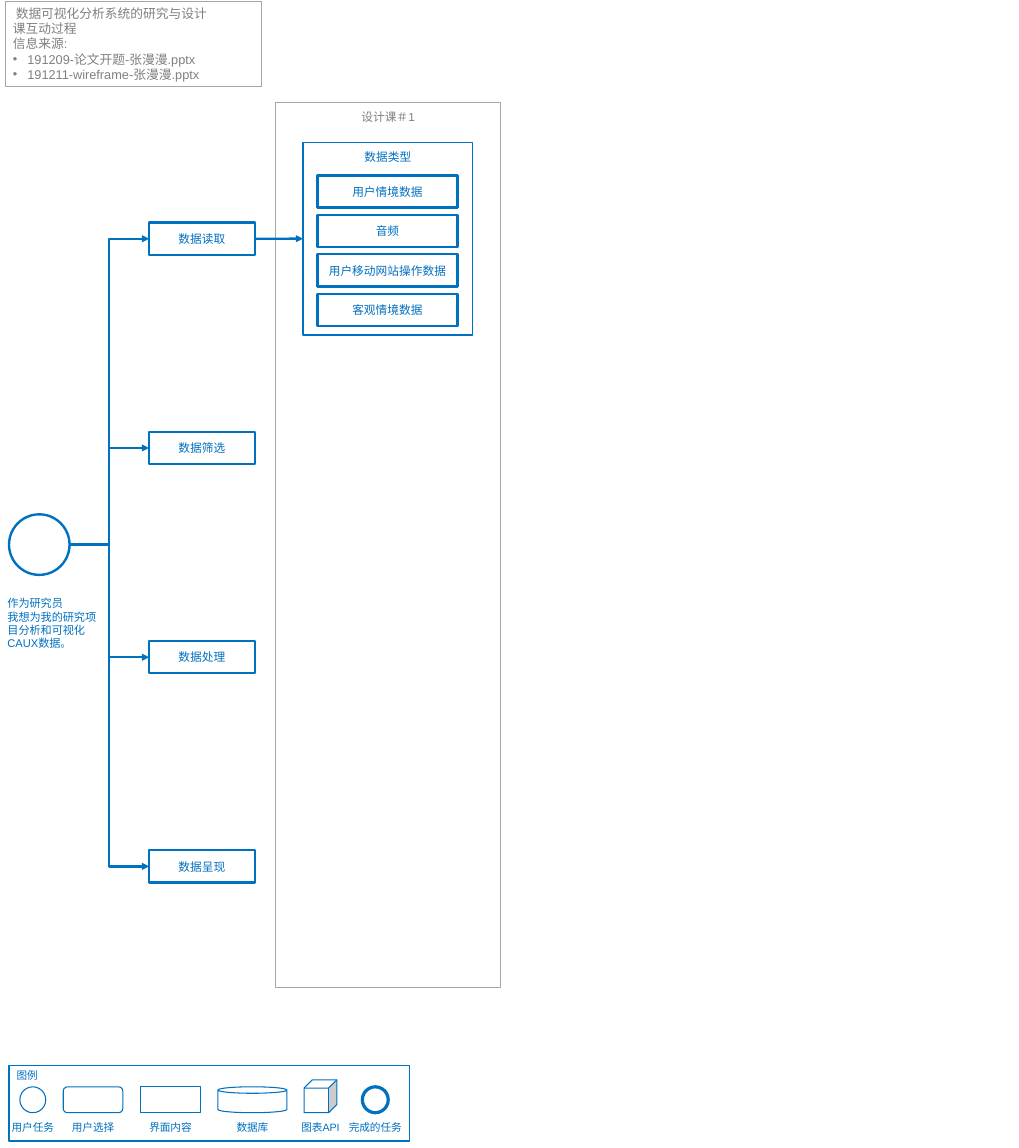
from pptx import Presentation
from pptx.dml.color import RGBColor
from pptx.enum.shapes import MSO_CONNECTOR, MSO_SHAPE
from pptx.enum.text import MSO_ANCHOR, PP_ALIGN
from pptx.oxml.ns import qn
from pptx.util import Cm, Pt
from lxml.etree import SubElement

BLUE = RGBColor(0x00, 0x70, 0xC0)
GREY = RGBColor(0x80, 0x80, 0x80)
RULE = RGBColor(0xA6, 0xA6, 0xA6)
WHITE = RGBColor(0xFF, 0xFF, 0xFF)

PADDED = (0.25, 0.13, 0.25, 0.13)
HEADED = (0, 0.25, 0, 0)
FLUSH = (0, 0, 0, 0)
SIDES = ("left", "top", "right", "bottom")


def write(s, lines, size, color=BLUE, align=PP_ALIGN.CENTER,
          anchor=MSO_ANCHOR.MIDDLE, inset=FLUSH):
    tf = s.text_frame
    frame = {"word_wrap": True, "vertical_anchor": anchor}
    frame.update({f"margin_{side}": Cm(v) for side, v in zip(SIDES, inset)})
    for name, value in frame.items():
        setattr(tf, name, value)
    for i, line in enumerate(lines):
        p = tf.add_paragraph() if i else tf.paragraphs[0]
        p.alignment = align
        r = p.add_run()
        r.text = line
        for name, value in {"name": "Arial", "size": Pt(size)}.items():
            setattr(r.font, name, value)
        r.font.color.rgb = color
    return tf


def add_shape(slide, kind, box, width=1, color=BLUE):
    s = slide.shapes.add_shape(kind, *map(Cm, box))
    s.shadow.inherit = False
    s.fill.solid()
    s.fill.fore_color.rgb = WHITE
    s.line.color.rgb = color
    s.line.width = Pt(width)
    return s


def add_text(slide, box, lines, size, **style):
    write(slide.shapes.add_textbox(*map(Cm, box)), lines, size, **style)


def add_arrow(slide, kind, start, target):
    c = slide.shapes.add_connector(kind, *start, target.left,
                                   target.top + target.height // 2)
    c.end_connect(target, 1)
    c.line.color.rgb = BLUE
    c.line.width = Pt(2.25)
    SubElement(c.line._get_or_add_ln(), qn("a:tailEnd"), type="triangle")
    SubElement(c._element.spPr, qn("a:effectLst"))
    return c


def add_stack(slide, box, step, labels):
    x, y, w, h = box
    boxes = []
    for i, label in enumerate(labels):
        s = add_shape(slide, MSO_SHAPE.RECTANGLE, (x, y + i * step, w, h), 2.25)
        write(s, [label], 11)
        boxes.append(s)
    return boxes


def add_note(slide, box):
    s = add_shape(slide, MSO_SHAPE.RECTANGLE, box, 0.75, RULE)
    s.fill.background()
    tf = write(s, [" 数据可视化分析系统的研究与设计", "课互动过程", "信息来源:",
                   "191209-论文开题-张漫漫.pptx", "191211-wireframe-张漫漫.pptx"],
               12, GREY, PP_ALIGN.LEFT, MSO_ANCHOR.TOP, PADDED)
    for p in tf.paragraphs[3:]:
        pPr = p._p.get_or_add_pPr()
        for name, value in {"marL": Cm(0.48), "indent": Cm(-0.48)}.items():
            pPr.set(name, str(int(value)))
        SubElement(pPr, qn("a:buFont"), typeface="Arial")
        SubElement(pPr, qn("a:buChar"), char="•")


def add_lane(slide, box):
    x, y, w, h = box
    lane = add_shape(slide, MSO_SHAPE.RECTANGLE, box, 1, RULE)
    write(lane, ["设计课＃1"], 11, GREY, anchor=MSO_ANCHOR.TOP, inset=HEADED)
    panel = add_shape(slide, MSO_SHAPE.RECTANGLE, (x + 0.92, y + 1.32, 5.64, 6.4))
    write(panel, ["数据类型"], 11, anchor=MSO_ANCHOR.TOP, inset=HEADED)
    add_stack(slide, (x + 1.4, y + 2.42, 4.65, 1.07), 1.31,
              ["用户情境数据", "音频", "用户移动网站操作数据", "客观情境数据"])
    return panel


def add_flow(slide, box, panel):
    x, y, w, h = box
    user = add_shape(slide, MSO_SHAPE.OVAL, (x + 0.3, y + 9.68, 2.01, 2.01), 2.25)
    add_text(slide, (x, y + 11.84, 3.56, 2.92),
             ["作为研究员", "我想为我的研究项目分析和可视化CAUX数据。"],
             10.5, align=PP_ALIGN.LEFT, inset=PADDED)
    tasks = add_stack(slide, (x + w - 3.51, y, 3.51, 1.07), (h - 1.07) / 3,
                      ["数据读取", "数据筛选", "数据处理", "数据呈现"])
    start = user.left + user.width, user.top + user.height // 2
    for task in tasks:
        add_arrow(slide, MSO_CONNECTOR.ELBOW, start, task)
    read = tasks[0]
    start = read.left + read.width, read.top + read.height // 2
    add_arrow(slide, MSO_CONNECTOR.STRAIGHT, start, panel).begin_connect(read, 3)


def add_legend(slide, box):
    x, y, w, h = box
    s = add_shape(slide, MSO_SHAPE.RECTANGLE, box)
    write(s, ["图例"], 10, align=PP_ALIGN.LEFT, anchor=MSO_ANCHOR.TOP, inset=PADDED)
    base, label_w = y + 1.57, 2.3
    for label, kind, center, sw, sh, line in [
        ("用户任务", MSO_SHAPE.OVAL, 0.79, 0.86, 0.86, 1),
        ("用户选择", MSO_SHAPE.ROUNDED_RECTANGLE, 2.79, 1.98, 0.86, 1),
        ("界面内容", MSO_SHAPE.RECTANGLE, 5.36, 1.98, 0.86, 1),
        ("数据库", MSO_SHAPE.CAN, 8.08, 2.29, 0.86, 1),
        ("图表API", MSO_SHAPE.CUBE, 10.34, 1.09, 1.09, 1),
        ("完成的任务", MSO_SHAPE.OVAL, 12.16, 0.86, 0.86, 3),
    ]:
        add_shape(slide, kind, (x + center - sw / 2, base - sh, sw, sh), line)
        add_text(slide, (x + center - label_w / 2, base + 0.05, label_w, 0.89),
                 [label], 10)


prs = Presentation()
prs.slide_width, prs.slide_height = Cm(33.83), Cm(38.1)
slide = prs.slides.add_slide(prs.slide_layouts[6])
panel = add_lane(slide, (9.14, 3.4, 7.49, 29.39))
add_note(slide, (0.18, 0.05, 8.51, 2.82))
add_legend(slide, (0.3, 35.36, 13.31, 2.51))
add_flow(slide, (0, 7.39, 8.46, 21.9), panel)
prs.save("out.pptx")
